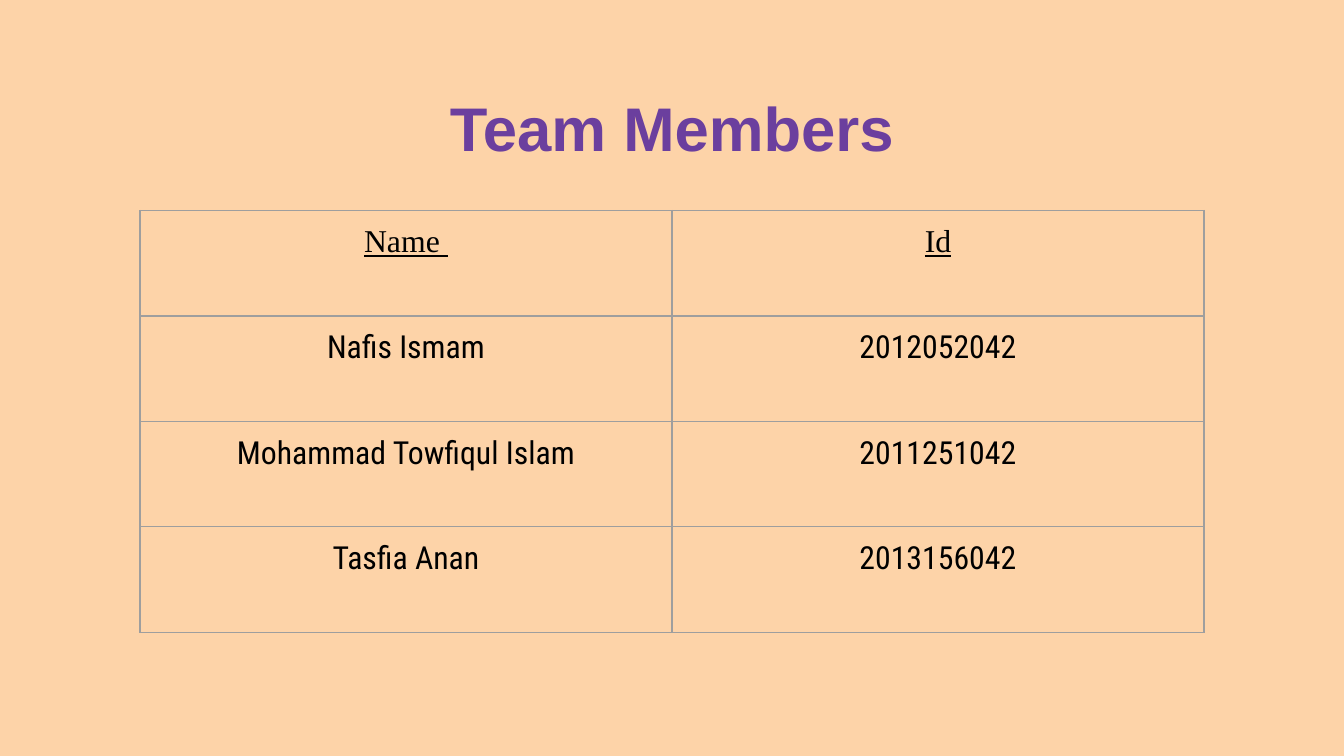
from lxml.etree import SubElement
from pptx import Presentation
from pptx.dml.color import RGBColor
from pptx.enum.text import MSO_ANCHOR, PP_ALIGN
from pptx.oxml.ns import qn
from pptx.util import Pt

PEACH = RGBColor(0xFD, 0xD3, 0xA8)
PURPLE = RGBColor(0x6B, 0x3F, 0x9E)
BLACK = RGBColor(0, 0, 0)
GRAY = RGBColor(0x9E, 0x9E, 0x9E)

TEAM = [
    ("Name ", "Id"),
    ("Nafis Ismam", "2012052042"),
    ("Mohammad Towfiqul Islam", "2011251042"),
    ("Tasfia Anan", "2013156042"),
]


class Deck:
    title_font = "Arial"
    head_font = "Times New Roman"
    body_font = "Roboto Condensed"
    inset = Pt(7.2)

    def __init__(self, width, height):
        self.show = Presentation()
        self.show.slide_width = Pt(width)
        self.show.slide_height = Pt(height)
        self.slide = self.show.slides.add_slide(self.show.slide_layouts[6])
        fill = self.slide.background.fill
        fill.solid()
        fill.fore_color.rgb = PEACH

    def label(self, frame, text, name, size, color, bold=False, under=False):
        frame.text = text
        line = frame.paragraphs[0]
        line.alignment = PP_ALIGN.CENTER
        font = line.runs[0].font
        font.name = name
        font.size = Pt(size)
        font.color.rgb = color
        font.bold = bold
        font.underline = under

    def title(self, text, left, top, width, height):
        box = self.slide.shapes.add_textbox(Pt(left), Pt(top), Pt(width), Pt(height))
        frame = box.text_frame
        frame.word_wrap = True
        frame.vertical_anchor = MSO_ANCHOR.TOP
        frame.margin_left = frame.margin_right = frame.margin_bottom = self.inset
        frame.margin_top = Pt(10.8)
        self.label(frame, text, self.title_font, 33, PURPLE, bold=True)

    def border(self, cell):
        props = cell._tc.get_or_add_tcPr()
        for index, side in enumerate(("a:lnL", "a:lnR", "a:lnT", "a:lnB")):
            line = SubElement(props, qn(side), w=str(Pt(0.75)))
            fill = SubElement(line, qn("a:solidFill"))
            SubElement(fill, qn("a:srgbClr"), val=str(GRAY))
            props.insert(index, line)

    def table(self, rows, left, top, wide, high):
        count = len(rows[0])
        frame = self.slide.shapes.add_table(
            len(rows), count, Pt(left), Pt(top), Pt(wide * count), Pt(high * len(rows))
        )
        table = frame.table
        table.first_row = table.horz_banding = False
        for col in table.columns:
            col.width = Pt(wide)
        for y, row in enumerate(rows):
            table.rows[y].height = Pt(high)
            for x, text in enumerate(row):
                cell = table.cell(y, x)
                cell.fill.background()
                cell.margin_left = cell.margin_right = self.inset
                cell.margin_top = cell.margin_bottom = self.inset
                name = self.body_font if y else self.head_font
                self.label(cell.text_frame, text, name, 17, BLACK, under=y == 0)
                self.border(cell)

    def save(self):
        self.show.save("out.pptx")


def main():
    deck = Deck(720, 405)
    deck.title("Team Members", 0, 37.5, 720, 45)
    deck.table(TEAM, 75, 112.75, 285, 56.5)
    deck.save()


if __name__ == "__main__":
    main()
